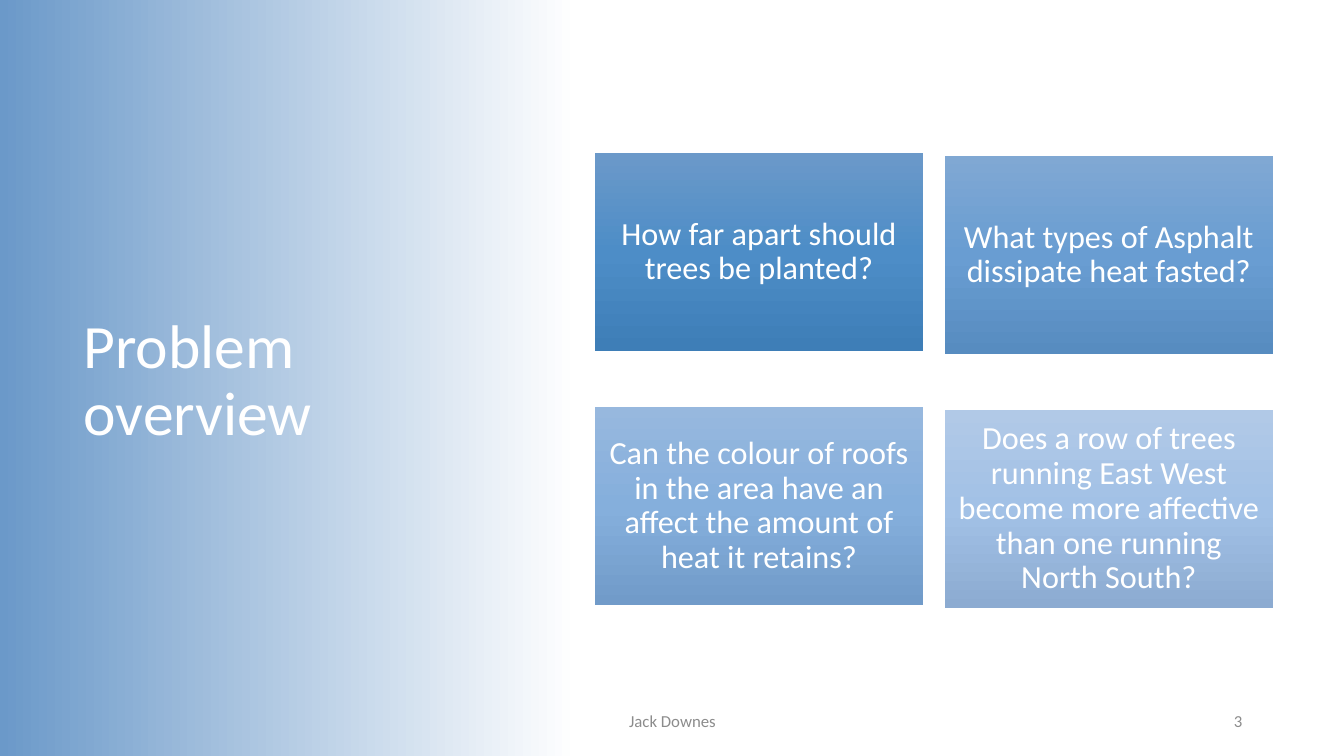
from lxml.etree import SubElement
from pptx import Presentation
from pptx.dml.color import RGBColor
from pptx.enum.shapes import MSO_SHAPE as Preset
from pptx.enum.text import MSO_ANCHOR as Anchor, PP_ALIGN as Align
from pptx.oxml.ns import qn
from pptx.util import Inches, Pt

FONT = "Calibri"
WHITE = "FFFFFF"
GREY = "8C8C8C"
QUESTIONS = [
    ("How far apart should trees be planted?", ("6B99C9", "4D8DC7", "3E7EB7")),
    ("What types of Asphalt dissipate heat fasted?", ("80A8D3", "699DD2", "578CC0")),
    ("Can the colour of roofs in the area have an affect the amount of heat it retains?",
     ("97B8DE", "85AFDC", "719BC9")),
    ("Does a row of trees running East West become more affective than one running North South?",
     ("B1C9E7", "A2C1E6", "8CABD1")),
]


def color(value):
    return RGBColor.from_string(value)


def set_gradient(fill, element, stops, angle):
    fill.gradient()
    fill.gradient_angle = angle
    stop_list = element.find(".//" + qn("a:gsLst"))
    for stop in list(stop_list):
        stop_list.remove(stop)
    for percent, value in stops:
        stop = SubElement(stop_list, qn("a:gs"), pos=str(percent * 1000))
        SubElement(stop, qn("a:srgbClr"), val=value)


def write(shape, text, size, value, align, spacing=1.0):
    frame = shape.text_frame
    frame.text = text
    frame.word_wrap = True
    frame.vertical_anchor = Anchor.MIDDLE
    paragraph = frame.paragraphs[0]
    paragraph.alignment = align
    paragraph.line_spacing = spacing
    font = paragraph.runs[0].font
    font.name = FONT
    font.size = Pt(size)
    font.color.rgb = color(value)


def add_text(slide, box, *style):
    write(slide.shapes.add_textbox(*map(Inches, box)), *style)


def add_question(slide, box, text, shades):
    card = slide.shapes.add_shape(Preset.RECTANGLE, *map(Inches, box))
    card.shadow.inherit = False
    card.line.fill.background()
    set_gradient(card.fill, card._element.spPr, zip((0, 50, 100), shades), 270)
    frame = card.text_frame
    frame.margin_left = frame.margin_right = Inches(0.1)
    frame.margin_top = frame.margin_bottom = Inches(0.1)
    write(card, text, 23, WHITE, Align.CENTER, 0.9)


def add_question_grid(slide, box):
    left, top, width, height = box
    card_width, card_height, column_drop = 3.26, 1.96, 0.03
    for index, (text, shades) in enumerate(QUESTIONS):
        row, column = divmod(index, 2)
        x = left + column * (width - card_width)
        y = top + row * (height - column_drop - card_height) + column * column_drop
        add_question(slide, (x, y, card_width, card_height), text, shades)


def add_footer(slide, box):
    left, top, width, height = box
    number_width = 3
    add_text(slide, (left, top, 4.5, height), "Jack Downes", 12, GREY, Align.CENTER)
    add_text(slide, (left + width - number_width, top, number_width, height),
             "3", 12, GREY, Align.RIGHT)


def main():
    presentation = Presentation()
    presentation.slide_width = Inches(13.33)
    presentation.slide_height = Inches(7.5)
    slide = presentation.slides.add_slide(presentation.slide_layouts[6])
    set_gradient(slide.background.fill, slide._element, [(0, "6B99C9"), (43, WHITE)], 0)
    add_text(slide, (0.73, 0.78, 3.69, 6.02), "Problem overview", 44, WHITE, Align.LEFT, 0.9)
    add_question_grid(slide, (5.9, 1.52, 6.73, 4.51))
    add_footer(slide, (4.42, 6.95, 8, 0.4))
    presentation.save("out.pptx")


if __name__ == "__main__":
    main()
